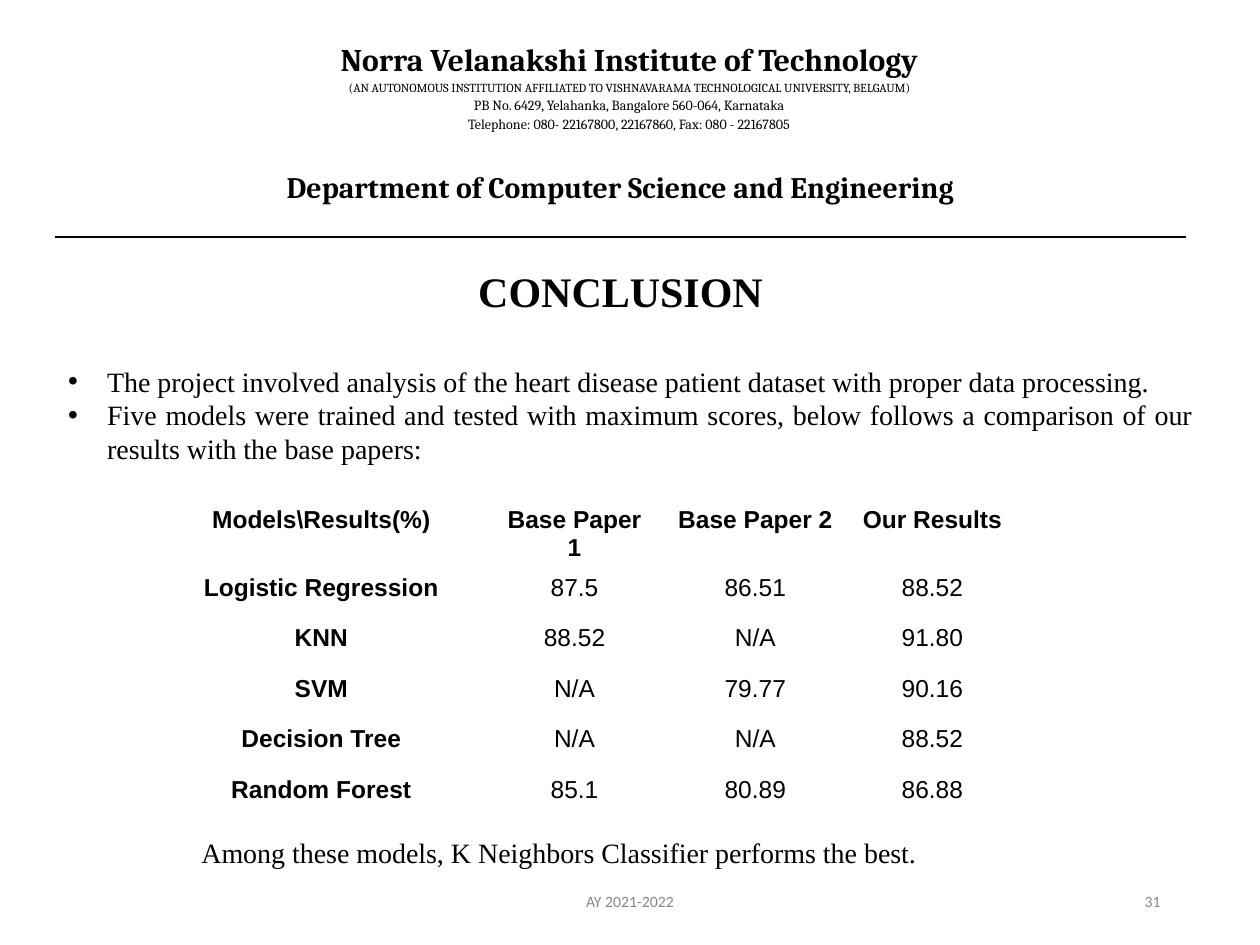
import pptx
import pptx.util
import pptx.dml.color
import pptx.enum.text
import pptx.oxml
import pptx.oxml.ns

Inches = pptx.util.Inches
Pt = pptx.util.Pt
Align = pptx.enum.text.PP_ALIGN
Anchor = pptx.enum.text.MSO_ANCHOR
Fit = pptx.enum.text.MSO_AUTO_SIZE

PLAIN = "{2D5ABB26-0587-4C30-8999-92F81FD0307C}"
BLACK = "000000"
GREY = "888888"
SERIF = "Times New Roman"


def color(code):
    return pptx.dml.color.RGBColor.from_string(code)


class Page:
    def __init__(self, slide):
        self.slide = slide

    def fill(self, frame, lines, font, align, tint=BLACK, space=1.0):
        """Fill a frame with lines of (text, size, bold)."""
        for i, (text, size, bold) in enumerate(lines):
            para = frame.add_paragraph() if i else frame.paragraphs[0]
            para.alignment = align
            para.line_spacing = space
            para.space_before = para.space_after = Pt(0)
            run = para.add_run()
            run.text = text
            run.font.name = font
            run.font.size = Pt(size)
            run.font.bold = bold
            run.font.color.rgb = color(tint)

    def place(self, shape, box, anchor=Anchor.TOP):
        shape.left, shape.top, shape.width, shape.height = map(Inches, box)
        frame = shape.text_frame
        frame.word_wrap = True
        frame.auto_size = Fit.NONE
        frame.vertical_anchor = anchor
        return frame

    def title(self, box, text, size):
        frame = self.place(self.slide.shapes.title, box)
        self.fill(frame, [(text, size, True)], SERIF, Align.CENTER)

    def points(self, box, items, size, indent):
        frame = self.place(self.slide.placeholders[1], box)
        self.fill(frame, [(item, size, False) for item in items],
                  SERIF, Align.JUSTIFY)
        for para in frame.paragraphs:
            props = para._p.get_or_add_pPr()
            props.set("marL", str(Inches(indent)))
            props.set("indent", str(-Inches(indent)))

    def text(self, box, text, size, font, align, tint=BLACK, anchor=Anchor.TOP):
        shape = self.slide.shapes.add_textbox(*map(Inches, box))
        frame = self.place(shape, box, anchor)
        self.fill(frame, [(text, size, False)], font, align, tint)

    def table(self, left, top, cols, rows):
        """Add an unstyled table without fills."""
        frame = self.slide.shapes.add_table(
            len(rows), len(cols), Inches(left), Inches(top),
            Inches(sum(cols)), Inches(sum(rows)))
        grid = frame.table
        grid.first_row = grid.horz_banding = False
        style = grid._tbl.tblPr.find(pptx.oxml.ns.qn("a:tableStyleId"))
        style.text = PLAIN
        for col, width in zip(grid.columns, cols):
            col.width = Inches(width)
        for row, height in zip(grid.rows, rows):
            row.height = Inches(height)
        for cell in grid.iter_cells():
            cell.fill.background()
        return grid

    def rule(self, cell, width):
        """Draw the bottom border of a cell."""
        line = pptx.oxml.parse_xml(
            f'<a:lnB {pptx.oxml.ns.nsdecls("a")} w="{Pt(width)}">'
            f'<a:solidFill><a:srgbClr val="{BLACK}"/></a:solidFill></a:lnB>')
        cell._tc.get_or_add_tcPr().insert(0, line)


deck = pptx.Presentation()
deck.slide_width = Inches(10)
deck.slide_height = Inches(7.5)
page = Page(deck.slides.add_slide(deck.slide_layouts[1]))

# Letterhead
head = page.table(0.44, 0.3, [1.25, 6.61, 1.11], [1.02, 0.56])
head.cell(1, 0).merge(head.cell(1, 2))
school = [
    ("Norra Velanakshi Institute of Technology", 18, True),
    ("(AN AUTONOMOUS INSTITUTION AFFILIATED TO VISHNAVARAMA "
     "TECHNOLOGICAL UNIVERSITY, BELGAUM)", 7, False),
    ("PB No. 6429, Yelahanka, Bangalore 560-064, Karnataka", 8, False),
    ("Telephone: 080- 22167800, 22167860, Fax: 080 - 22167805", 8, False),
]
branch = [("Department of Computer Science and Engineering", 17, True)]
for cell, lines in ((head.cell(0, 1), school), (head.cell(1, 0), branch)):
    cell.margin_left = cell.margin_right = Inches(0.07)
    cell.margin_top = cell.margin_bottom = 0
    page.fill(cell.text_frame, lines, "Cambria", Align.CENTER, space=1.15)
for col in range(3):
    page.rule(head.cell(1, col), 1)

# Title and points
page.title((3.14, 2.06, 3.57, 0.5), "CONCLUSION", 24)
page.points((0.44, 2.84, 9.13, 0.91), [
    "The project involved analysis of the heart disease patient dataset "
    "with proper data processing.",
    "Five models were trained and tested with maximum scores, below follows "
    "a comparison of our results with the base papers:",
], 16, 0.31)

# Model scores
scores = [
    ("Models\\Results(%)", "Base Paper 1", "Base Paper 2", "Our Results"),
    ("Logistic Regression", "87.5", "86.51", "88.52"),
    ("KNN", "88.52", "N/A", "91.80"),
    ("SVM", "N/A", "79.77", "90.16"),
    ("Decision Tree", "N/A", "N/A", "88.52"),
    ("Random Forest", "85.1", "80.89", "86.88"),
]
grid = page.table(1.25, 3.97, [2.6, 1.42, 1.45, 1.36], [0.4] * len(scores))
for r, row in enumerate(scores):
    for c, text in enumerate(row):
        bold = r == 0 or c == 0
        page.fill(grid.cell(r, c).text_frame, [(text, 14, bold)],
                  "Arial", Align.CENTER)

# Closing line and footer
page.text((1.5, 6.58, 7.81, 0.37),
          "Among these models, K Neighbors Classifier performs the best.",
          16, SERIF, Align.LEFT)
for left, width, text, align in ((3.31, 3.38, "AY 2021-2022", Align.CENTER),
                                 (7.06, 2.25, "31", Align.RIGHT)):
    page.text((left, 6.95, width, 0.4), text, 9, "Calibri", align,
              GREY, Anchor.MIDDLE)

deck.save("out.pptx")
